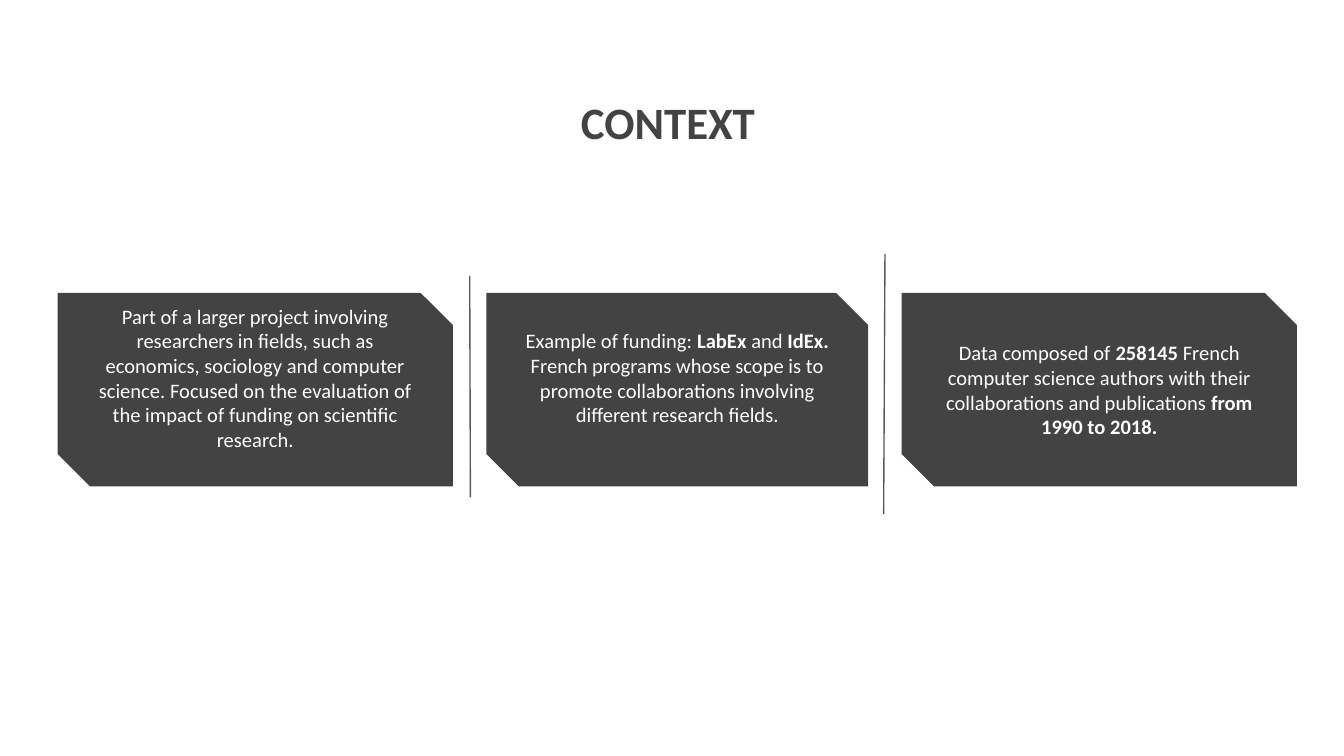
from dataclasses import dataclass

from lxml import etree
from pptx import Presentation
from pptx import util as u
from pptx.dml.color import RGBColor
from pptx.enum import shapes, text
from pptx.oxml.ns import qn

WIDTH = u.Inches(10)
HEIGHT = WIDTH * 9 // 16
FONT = "Calibri"
DARK, LIGHT, RULE = "434343", "FFFFFF", "595959"

# The grid has 100 columns and 100 rows.
LEFT, GAP = 4.3, 2.5
CARD_TOP, CARD_ROWS = 38.75, 25.6
SIDE_INSET, INSET = u.Inches(0.12), u.Inches(0.1)


@dataclass
class Card:
    columns: float
    wording: list[tuple[str, bool]]  # words, bold
    lift: float = 0  # extra bottom inset, inches


@dataclass
class Divider:
    top: float
    bottom: float
    slant: float  # columns from top to bottom


CARDS = [
    Card(29.4, [("Part of a larger project involving researchers in fields, such as "
                 "economics, sociology and computer science. Focused on the evaluation "
                 "of the impact of funding on scientific research.", False)], 0.18),
    Card(28.4, [("Example of funding: ", False), ("LabEx ", True), ("and ", False),
                ("IdEx. ", True),
                ("French programs whose scope is to promote collaborations involving "
                 "different research fields.", False)], 0.18),
    Card(29.4, [("Data composed of ", False), ("258145 ", True),
                ("French computer science authors with their collaborations and "
                 "publications ", False), ("from 1990 to 2018.", True)]),
]
DIVIDERS = [Divider(36.5, 65.8, 0.05), Divider(33.6, 68, -0.1)]


def col(columns: float) -> int:
    return round(WIDTH * columns / 100)


def row(rows: float) -> int:
    return round(HEIGHT * rows / 100)


def colour(code: str) -> RGBColor:
    return RGBColor.from_string(code)


def style(font, size: float, code: str, bold: bool) -> None:
    font.name, font.size, font.bold = FONT, u.Pt(size), bold
    font.color.rgb = colour(code)


def set_insets(frame) -> None:
    frame.margin_left = frame.margin_right = SIDE_INSET
    frame.margin_top = frame.margin_bottom = INSET
    frame.word_wrap = True


def write_title(slide) -> None:
    title = slide.shapes.title
    title.left, title.top = col(21.2), row(10.8)
    title.width, title.height = col(57), row(18.3)
    frame = title.text_frame
    frame.text = "CONTEXT"
    set_insets(frame)
    frame.auto_size = text.MSO_AUTO_SIZE.NONE
    frame.vertical_anchor = text.MSO_ANCHOR.TOP
    heading = frame.paragraphs[0]
    heading.alignment = text.PP_ALIGN.CENTER
    style(heading.runs[0].font, 24, DARK, True)


def draw_card(slide, card: Card, left: float) -> None:
    panel = slide.shapes.add_shape(shapes.MSO_SHAPE.SNIP_2_DIAG_RECTANGLE, col(left),
                                   row(CARD_TOP), col(card.columns), row(CARD_ROWS))
    panel.shadow.inherit = False
    panel.fill.solid()
    panel.fill.fore_color.rgb = colour(DARK)
    panel.line.fill.background()
    frame = panel.text_frame
    set_insets(frame)
    frame.margin_bottom = INSET + u.Inches(card.lift)
    frame.vertical_anchor = text.MSO_ANCHOR.MIDDLE
    statement = frame.paragraphs[0]
    statement.alignment = text.PP_ALIGN.CENTER
    for words, bold in card.wording:
        run = statement.add_run()
        run.text = words
        style(run.font, 11, LIGHT, bold)


def draw_divider(slide, divider: Divider, centre: float) -> None:
    rule = slide.shapes.add_connector(
        shapes.MSO_CONNECTOR.STRAIGHT, col(centre), row(divider.top),
        col(centre + divider.slant), row(divider.bottom))
    rule.line.color.rgb = colour(RULE)
    rule.line.width = u.Pt(0.75)
    etree.SubElement(rule._element.spPr, qn("a:effectLst"))


def main() -> None:
    deck = Presentation()
    deck.slide_width, deck.slide_height = WIDTH, HEIGHT
    slide = deck.slides.add_slide(deck.slide_layouts[0])
    subtitle = slide.placeholders[1].element
    subtitle.getparent().remove(subtitle)

    write_title(slide)
    left, centres = LEFT, []
    for card in CARDS:
        draw_card(slide, card, left)
        left += card.columns + GAP
        centres.append(left - GAP / 2)
    for divider, centre in zip(DIVIDERS, centres):
        draw_divider(slide, divider, centre)
    deck.save("out.pptx")


if __name__ == "__main__":
    main()
